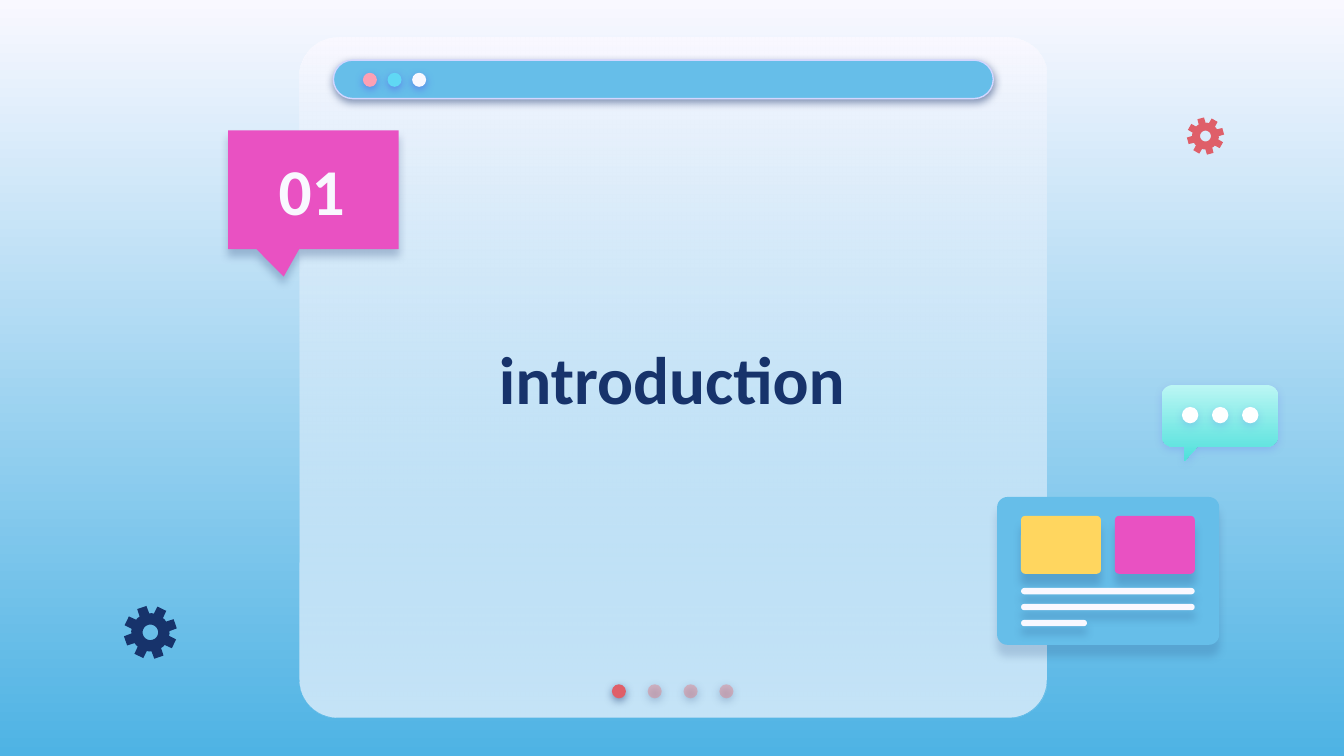
from dataclasses import dataclass
from math import cos, radians, sin

from lxml import etree
from pptx import Presentation
from pptx.dml.color import RGBColor
from pptx.enum.shapes import MSO_SHAPE
from pptx.enum.text import MSO_ANCHOR, PP_ALIGN
from pptx.oxml.ns import qn
from pptx.util import Pt

ROUNDED = MSO_SHAPE.ROUNDED_RECTANGLE
ELLIPSE = MSO_SHAPE.OVAL
CALLOUT = MSO_SHAPE.RECTANGULAR_CALLOUT
MIDDLE = MSO_ANCHOR.MIDDLE
BOTTOM = MSO_ANCHOR.BOTTOM
CENTER = PP_ALIGN.CENTER


@dataclass(frozen=True)
class Theme:
    font: str = "Calibri"
    title_size: float = 36
    number_size: float = 35
    navy: str = "17336B"
    pale: str = "F9F8FF"
    white: str = "FFFFFF"
    sky: str = "66BEE9"
    deep_sky: str = "4EB3E4"
    magenta: str = "E951C2"
    yellow: str = "FFD65F"
    red: str = "DF5F69"
    soft_red: str = "E27B83"
    pink: str = "FDA0B4"
    cyan: str = "60D8F4"
    lilac: str = "D2D6FF"
    violet: str = "5352EE"
    mint: tuple = ("BBF6F4", "4EE0DB")


THEME = Theme()
DOT_SHADOW = (THEME.navy, 50, 1.5)
BUTTON_SHADOW = (THEME.violet, 50, 1.5)
CALLOUT_SHADOW = (THEME.navy, 25, 3.8)
CARD_SHADOW = (THEME.navy, 17, 6)
TILE_SHADOW = (THEME.navy, 20, 6)
LINE_SHADOW = (THEME.navy, 21, 4.5)
BUBBLE_SHADOW = (THEME.violet, 18, 1.5)


def set_alpha(color_element, percent):
    etree.SubElement(color_element, qn("a:alpha"), val=str(percent * 1000))


def set_gradient(fill, colors):
    fill.gradient()
    fill.gradient_angle = 270
    for stop, color in zip(fill.gradient_stops, colors):
        stop.color.rgb = RGBColor.from_string(color)


def set_shadow(shape, color, opacity, distance):
    effects = shape._element.spPr.find(qn("a:effectLst"))
    outer = etree.SubElement(effects, qn("a:outerShdw"), blurRad=str(Pt(4.5)),
                             dist=str(Pt(distance)), dir="5400000",
                             algn="bl", rotWithShape="0")
    set_alpha(etree.SubElement(outer, qn("a:srgbClr"), val=color), opacity)


def style_shape(shape, fill, shadow=None, opacity=None):
    shape.shadow.inherit = False
    if isinstance(fill, tuple):
        set_gradient(shape.fill, fill)
    else:
        shape.fill.solid()
        shape.fill.fore_color.rgb = RGBColor.from_string(fill)
    if opacity:
        colors = list(shape._element.spPr.iter(qn("a:srgbClr")))
        set_alpha(colors[-1], opacity)
    shape.line.fill.background()
    if shadow:
        set_shadow(shape, *shadow)


def add_preset(slide, kind, box, fill, shadow=None, opacity=None, adjustments=()):
    shape = slide.shapes.add_shape(kind, *map(Pt, box))
    for index, value in enumerate(adjustments):
        shape.adjustments[index] = value
    style_shape(shape, fill, shadow, opacity)
    return shape


def add_dots(slide, left, top, size, step, fills, shadow):
    for index, (fill, opacity) in enumerate(fills):
        add_preset(slide, ELLIPSE, (left + index * step, top, size, size),
                   fill, shadow, opacity)


def add_outline(slide, contours, fill, shadow=None):
    contours = [[(Pt(x), Pt(y)) for x, y in contour] for contour in contours]
    builder = slide.shapes.build_freeform(*contours[0][0])
    for index, contour in enumerate(contours):
        if index:
            builder.move_to(*contour[0])
        builder.add_line_segments(contour[1:], close=True)
    style_shape(builder.convert_to_shape(), fill, shadow)


def polar(center, radius, angle):
    return (center[0] + radius * cos(radians(angle)),
            center[1] + radius * sin(radians(angle)))


def add_gear(slide, center, radius, first_angle, fill):
    tooth = ((-15.5, 0.71), (-10.5, 1), (10.5, 1), (15.5, 0.71), (22.5, 0.72))
    rim = [polar(center, radius * reach, first_angle + 45 * index + offset)
           for index in range(8) for offset, reach in tooth]
    hole = [polar(center, radius * 0.29, -angle) for angle in range(0, 360, 10)]
    add_outline(slide, [rim, hole], fill)


def add_speech_bubble(slide):
    left, top, right, bottom, radius = 622.5, 206.3, 684.7, 239.3, 5.8
    corners = ((right - radius, top + radius, -90),
               (right - radius, bottom - radius, 0),
               (left + radius, bottom - radius, 90),
               (left + radius, top + radius, 180))
    arcs = [[polar((x, y), radius, start + turn) for turn in range(0, 91, 10)]
            for x, y, start in corners]
    tail = [(641.5, bottom), (634.6, 247), (634.6, bottom)]
    add_outline(slide, [arcs[0] + arcs[1] + tail + arcs[2] + arcs[3]],
                THEME.mint, BUBBLE_SHADOW)
    add_dots(slide, 633.2, 218, 8.8, 16.1, [(THEME.white, None)] * 3, BUBBLE_SHADOW)


def add_text(slide, box, text, size, color, anchor):
    text_frame = slide.shapes.add_textbox(*map(Pt, box)).text_frame
    text_frame.word_wrap = True
    text_frame.vertical_anchor = anchor
    text_frame.margin_left = text_frame.margin_right = Pt(7.2)
    text_frame.margin_top = text_frame.margin_bottom = Pt(7.2)
    text_frame.text = text
    paragraph = text_frame.paragraphs[0]
    paragraph.alignment = CENTER
    font = paragraph.runs[0].font
    font.name, font.size, font.bold = THEME.font, Pt(size), True
    font.color.rgb = RGBColor.from_string(color)


def add_window(slide):
    panel = (160.5, 20.2, 400.3, 364.3)
    add_preset(slide, ROUNDED, panel, THEME.pale, adjustments=[0.056])
    add_preset(slide, ROUNDED, panel, (THEME.pale, THEME.sky), opacity=35,
               adjustments=[0.056])
    add_dots(slide, 327.8, 366.6, 7.5, 19.2,
             [(THEME.red, None)] + [(THEME.soft_red, 44)] * 3, DOT_SHADOW)
    bar = add_preset(slide, ROUNDED, (178.6, 32.2, 353.5, 20.6), THEME.sky,
                     DOT_SHADOW, adjustments=[0.5])
    bar.line.color.rgb = RGBColor.from_string(THEME.lilac)
    bar.line.width = Pt(0.75)
    add_dots(slide, 194.4, 39, 7.5, 13.2,
             [(color, None) for color in (THEME.pink, THEME.cyan, THEME.pale)],
             BUTTON_SHADOW)


def add_card(slide):
    add_preset(slide, ROUNDED, (534.2, 266.3, 119, 79.2), THEME.sky,
               CARD_SHADOW, adjustments=[0.07])
    for left, color in ((547, THEME.yellow), (597.3, THEME.magenta)):
        add_preset(slide, ROUNDED, (left, 276.4, 42.8, 31), color,
                   TILE_SHADOW, adjustments=[0.07])
    for index, width in enumerate((93, 93, 35.3)):
        add_preset(slide, ROUNDED, (547, 315 + index * 8.55, width, 3.4),
                   THEME.pale, LINE_SHADOW, adjustments=[0.5])


def main():
    presentation = Presentation()
    presentation.slide_width, presentation.slide_height = Pt(720), Pt(405)
    slide = presentation.slides.add_slide(presentation.slide_layouts[6])
    set_gradient(slide.background.fill, (THEME.pale, THEME.deep_sky))
    add_window(slide)
    add_preset(slide, CALLOUT, (122.2, 69.8, 91.4, 63.7), THEME.magenta,
               CALLOUT_SHADOW, adjustments=[-0.174, 0.731])
    add_text(slide, (194.4, 136.8, 331.2, 131), "introduction",
             THEME.title_size, THEME.navy, MIDDLE)
    add_card(slide)
    add_speech_bubble(slide)
    add_gear(slide, (80.6, 338.8), 14.3, -109, THEME.navy)
    add_gear(slide, (645.8, 72.9), 10, -105, THEME.red)
    add_text(slide, (128.9, 73.4, 76.3, 56.2), "01",
             THEME.number_size, THEME.pale, BOTTOM)
    presentation.save("out.pptx")


if __name__ == "__main__":
    main()
